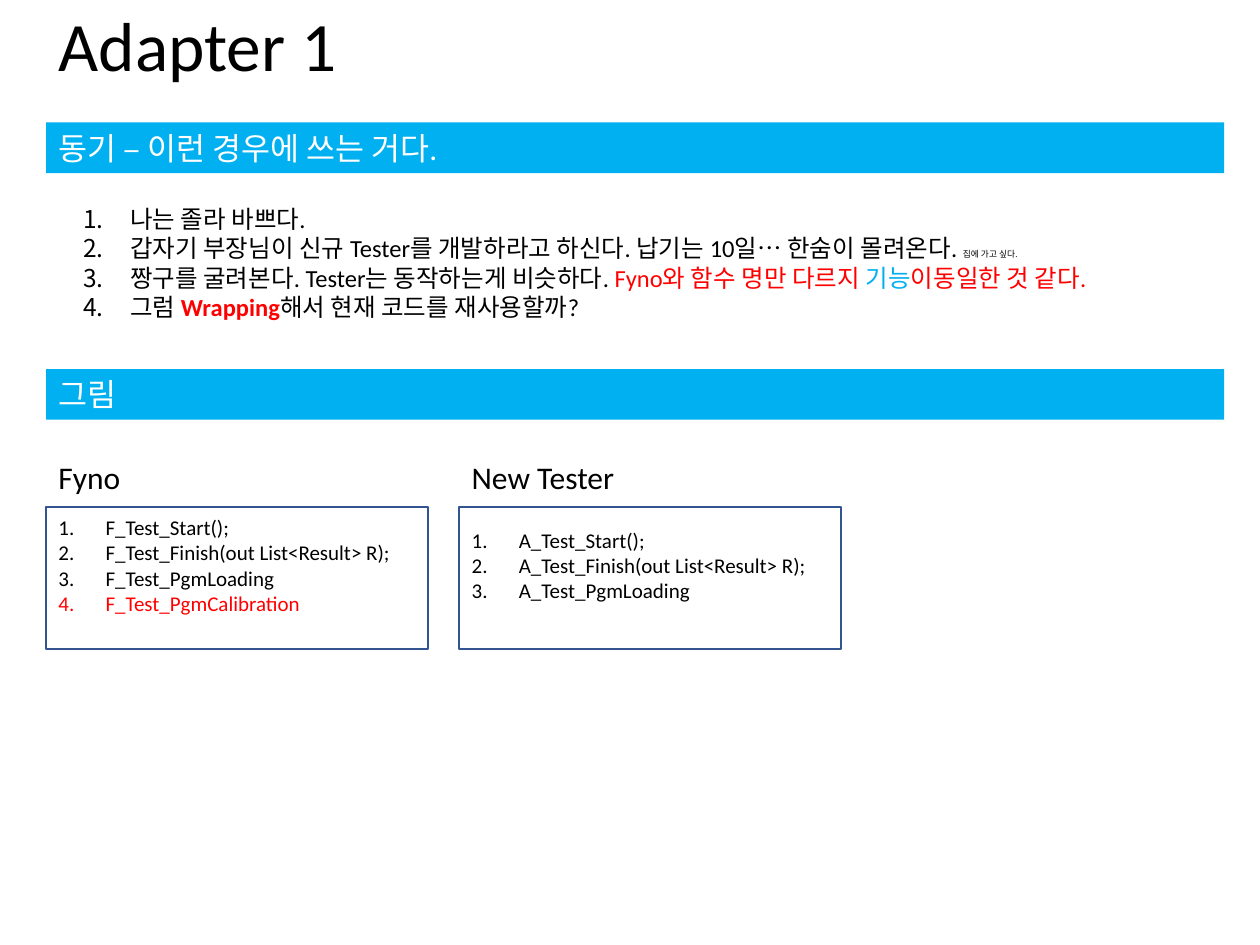
import pptx
import pptx.util
import pptx.dml.color
import pptx.enum.shapes
import pptx.enum.text
import pptx.oxml
from pptx.util import Cm

COLORS = {"black": "000000", "white": "FFFFFF", "red": "FF0000", "sky": "00B0F0", "border": "325491"}
FONT = "Calibri"

TITLE = "Adapter 1"
BANDS = [("동기 – 이런 경우에 쓰는 거다.", 2.47), ("그림", 7.44)]
MOTIVES = [
    [("나는 졸라 바쁘다.", {})],
    [("갑자기 부장님이 신규 Tester를 개발하라고 하신다. 납기는 10일… 한숨이 몰려온다. ", {}),
     ("집에 가고 싶다.", {"size": 5})],
    [("짱구를 굴려본다. Tester는 동작하는게 비슷하다. ", {}),
     ("Fyno와 함수 명만 다르지 ", {"color": "red"}),
     ("기능", {"color": "sky"}),
     ("이동일한 것 같다.", {"color": "red"})],
    [("그럼 ", {}), ("Wrapping", {"color": "red", "bold": True}),
     ("해서 현재 코드를 재사용할까?", {})],
]
TESTERS = [
    ("Fyno", [
        [("F_Test_Start();", {})],
        [("F_Test_Finish(out List<Result> R);", {})],
        [("F_Test_PgmLoading", {})],
        [("F_Test_PgmCalibration", {"color": "red"})],
    ]),
    ("New Tester", [
        [("A_Test_Start();", {})],
        [("A_Test_Finish(out List<Result> R);", {})],
        [("A_Test_PgmLoading", {})],
    ]),
]
LEFT = 0.93
COLUMN_STEP = 8.33
ANCHOR = pptx.enum.text.MSO_ANCHOR
RECTANGLE = pptx.enum.shapes.MSO_SHAPE.RECTANGLE


def rgb(name):
    return pptx.dml.color.RGBColor.from_string(COLORS[name])


def format_run(run, size, color="black", bold=False):
    run.font.name = FONT
    run.font.size = pptx.util.Pt(size)
    run.font.bold = bold
    run.font.color.rgb = rgb(color)


def prepare_frame(shape, anchor):
    frame = shape.text_frame
    frame.word_wrap = True
    frame.auto_size = pptx.enum.text.MSO_AUTO_SIZE.NONE
    frame.vertical_anchor = anchor
    return frame


def write_line(shape, text, size, color="black", anchor=ANCHOR.TOP):
    frame = prepare_frame(shape, anchor)
    frame.text = text
    paragraph = frame.paragraphs[0]
    paragraph.alignment = pptx.enum.text.PP_ALIGN.LEFT
    format_run(paragraph.runs[0], size, color)
    return paragraph


def write_numbered(shape, items, size, anchor=ANCHOR.TOP):
    frame = prepare_frame(shape, anchor)
    for index, item in enumerate(items):
        paragraph = frame.add_paragraph() if index else frame.paragraphs[0]
        paragraph.alignment = pptx.enum.text.PP_ALIGN.LEFT
        paragraph.space_before = pptx.util.Pt(0)
        properties = paragraph._p.get_or_add_pPr()
        properties.set("marL", str(Cm(0.95)))
        properties.set("indent", str(-Cm(0.95)))
        for tag, attribute, value in (("buFont", "typeface", "+mj-lt"),
                                      ("buAutoNum", "type", "arabicPeriod")):
            element = properties.makeelement(pptx.oxml.ns.qn("a:" + tag), {attribute: value})
            properties.append(element)
        for text, style in item:
            run = paragraph.add_run()
            run.text = text
            format_run(run, **{"size": size, **style})
    return frame


def place(shape, left, top, width, height):
    shape.left, shape.top = Cm(left), Cm(top)
    shape.width, shape.height = Cm(width), Cm(height)


def add_rectangle(slide, left, top, width, height):
    shape = slide.shapes.add_shape(RECTANGLE, Cm(left), Cm(top), Cm(width), Cm(height))
    shape.shadow.inherit = False
    return shape


def add_band(slide, text, top):
    band = add_rectangle(slide, LEFT, top, 23.75, 1.02)
    band.fill.solid()
    band.fill.fore_color.rgb = rgb("sky")
    band.line.fill.background()
    write_line(band, text, 18, "white")


def add_tester(slide, left, name, functions):
    label = slide.shapes.add_textbox(Cm(left), Cm(9.11), Cm(6.55), Cm(1.02))
    write_line(label, name, 18)
    box = add_rectangle(slide, left, 10.22, 7.7, 2.86)
    box.fill.background()
    box.line.color.rgb = rgb("border")
    box.line.width = pptx.util.Pt(1)
    frame = write_numbered(box, functions, 12, ANCHOR.MIDDLE)
    frame.margin_bottom = Cm(0.64)


def main():
    presentation = pptx.Presentation()
    presentation.slide_width, presentation.slide_height = Cm(25.4), Cm(19.05)
    slide = presentation.slides.add_slide(presentation.slide_layouts[1])

    title = slide.shapes.title
    place(title, LEFT, 0.2, 21.9, 1.57)
    write_line(title, TITLE, 39.6, anchor=ANCHOR.MIDDLE).line_spacing = 0.9

    for text, top in BANDS:
        add_band(slide, text, top)

    body = slide.placeholders[1]
    place(body, 1.42, 3.98, 23.37, 2.64)
    write_numbered(body, MOTIVES, 14)

    for column, (name, functions) in enumerate(TESTERS):
        add_tester(slide, LEFT + column * COLUMN_STEP, name, functions)

    presentation.save("out.pptx")


if __name__ == "__main__":
    main()
